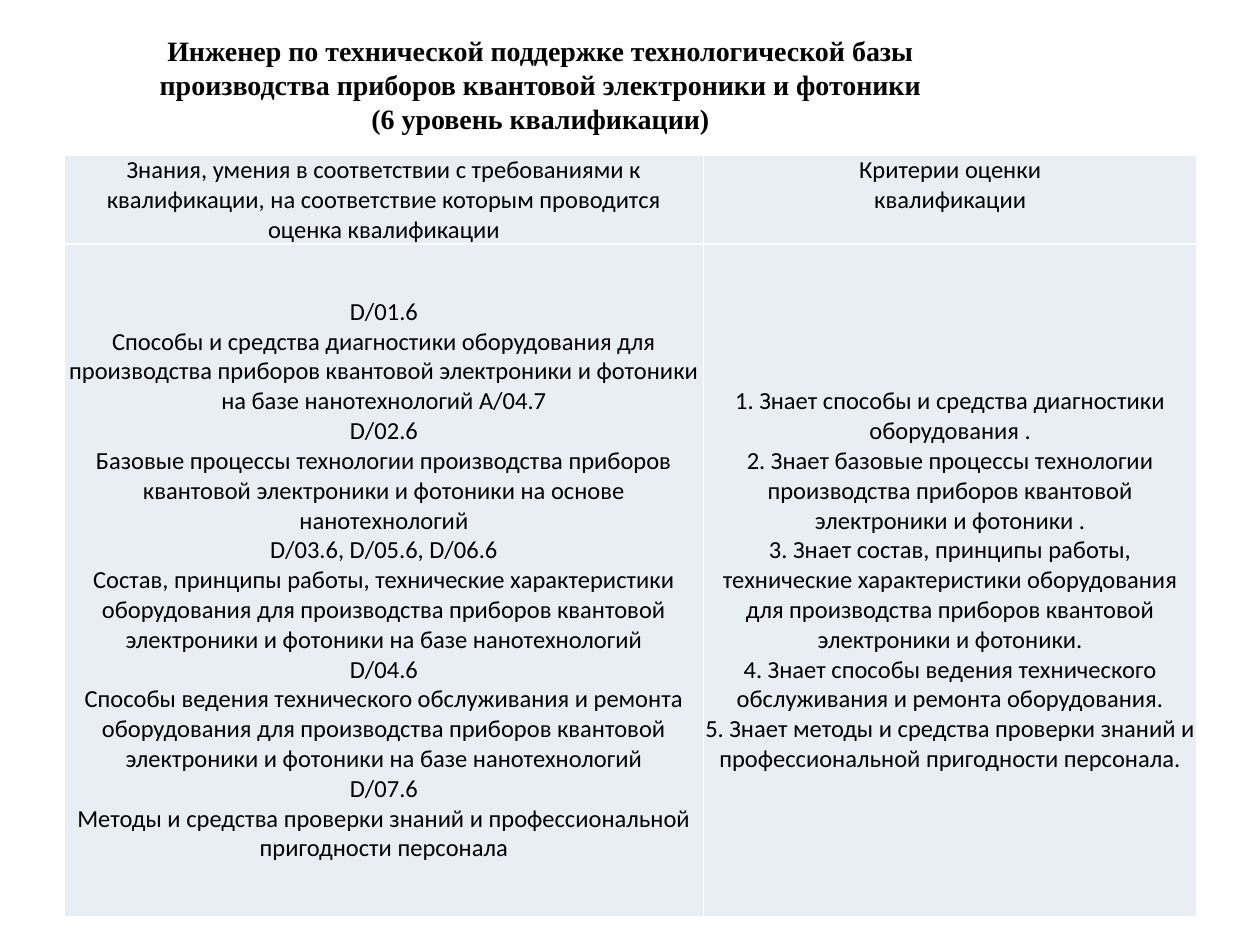
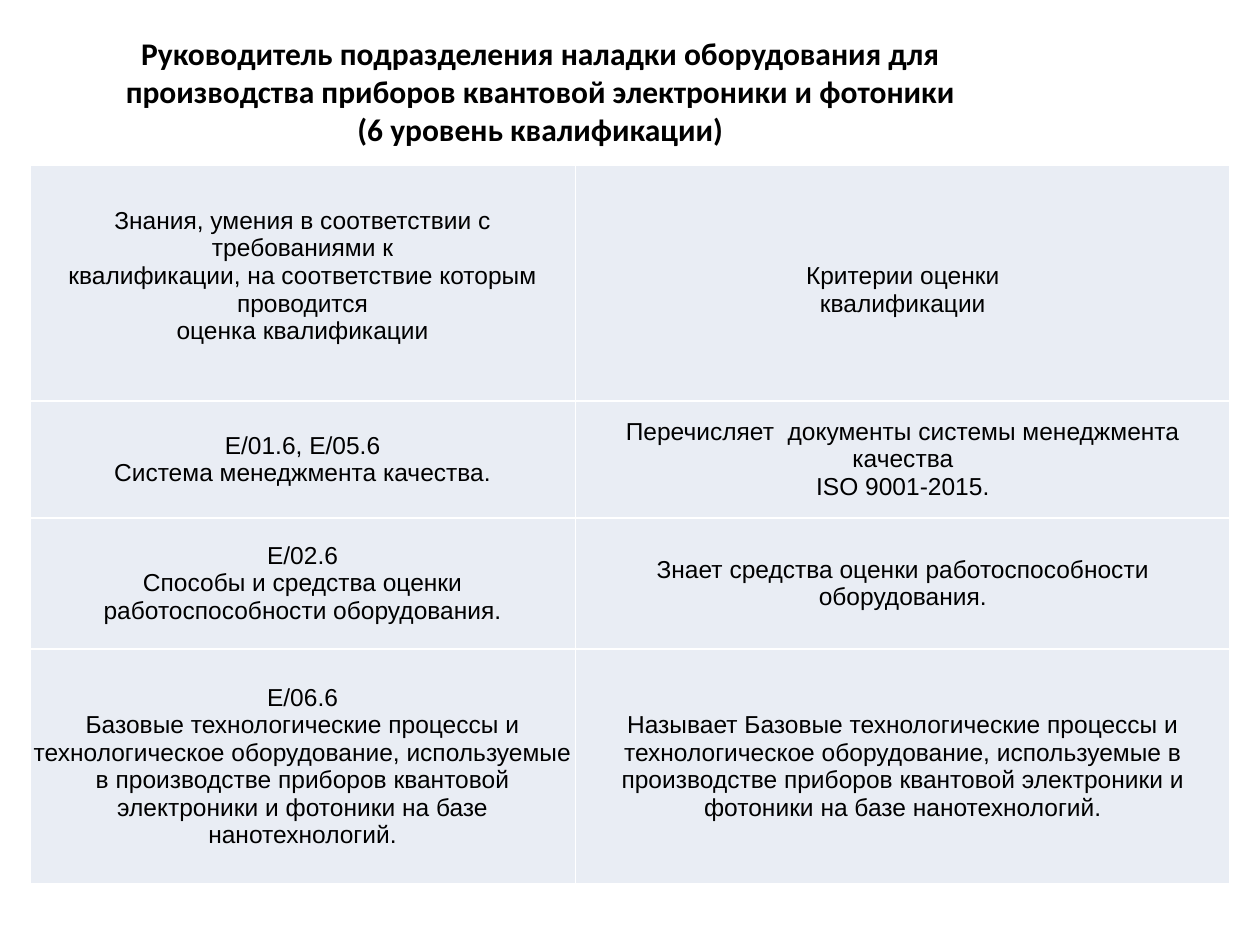
import pptx
import pptx.dml.color
import pptx.enum.text
import pptx.oxml
import pptx.oxml.ns
import pptx.util
from pptx.util import Cm

INK, PANEL, RULE = "000000", "E9EDF4", "FFFFFF"
TITLE_BOX = (1.7, 0.56, 18.39, 2.4)
ANCHOR = pptx.enum.text.MSO_ANCHOR
LEVEL = "(6 уровень квалификации)"
KNOWLEDGE = [
    "Знания, умения в соответствии с требованиями к",
    "квалификации, на соответствие которым проводится",
    "оценка квалификации",
]
CRITERIA = ["Критерии оценки", "квалификации"]

ENGINEER_ROWS = [
    [KNOWLEDGE, CRITERIA],
    [
        [
            "D/01.6",
            "Способы и средства диагностики оборудования для производства приборов квантовой электроники и фотоники на базе нанотехнологий А/04.7",
            "D/02.6",
            "Базовые процессы технологии производства приборов квантовой электроники и фотоники на основе нанотехнологий",
            "D/03.6, D/05.6, D/06.6",
            "Состав, принципы работы, технические характеристики оборудования для производства приборов квантовой электроники и фотоники на базе нанотехнологий",
            "D/04.6",
            "Способы ведения технического обслуживания и ремонта оборудования для производства приборов квантовой электроники и фотоники на базе нанотехнологий",
            "D/07.6",
            "Методы и средства проверки знаний и профессиональной пригодности персонала",
        ],
        [
            "1. Знает способы и средства диагностики оборудования .",
            "2. Знает базовые процессы технологии производства приборов квантовой электроники и фотоники .",
            "3. Знает состав, принципы работы, технические характеристики оборудования для производства приборов квантовой электроники и фотоники.",
            "4. Знает способы ведения технического обслуживания и ремонта оборудования.",
            "5. Знает методы и средства проверки знаний и профессиональной пригодности персонала.",
        ],
    ],
]

MANAGER_ROWS = [
    [KNOWLEDGE, CRITERIA],
    [
        ["Е/01.6, Е/05.6", "Система менеджмента качества."],
        ["Перечисляет  документы системы менеджмента качества", "ISO 9001-2015."],
    ],
    [
        ["Е/02.6", "Способы и средства оценки работоспособности оборудования."],
        ["Знает средства оценки работоспособности оборудования."],
    ],
    [
        [
            "Е/06.6",
            "Базовые технологические процессы и технологическое оборудование, используемые в производстве приборов квантовой электроники и фотоники на базе нанотехнологий.",
        ],
        [
            "Называет Базовые технологические процессы и технологическое оборудование, используемые в производстве приборов квантовой электроники и фотоники на базе нанотехнологий.",
        ],
    ],
]


def rgb(value):
    return pptx.dml.color.RGBColor.from_string(value)


def write(tf, lines, font, size, bold=False):
    tf.word_wrap = True
    for i, line in enumerate(lines):
        p = tf.add_paragraph() if i else tf.paragraphs[0]
        p.alignment = pptx.enum.text.PP_ALIGN.CENTER
        r = p.add_run()
        r.text = line
        r.font.name = font
        r.font.size = pptx.util.Pt(size)
        r.font.bold = bold
        r.font.color.rgb = rgb(INK)


def add_title(s, box, lines, font, size):
    sp = s.shapes.add_textbox(*map(Cm, box))
    write(sp.text_frame, lines, font, size, bold=True)


def set_borders(cell):
    tcPr = cell._tc.get_or_add_tcPr()
    for i, side in enumerate("LRTB"):
        tcPr.insert(i, pptx.oxml.parse_xml(
            f'<a:ln{side} {pptx.oxml.ns.nsdecls("a")} w="12700"><a:solidFill>'
            f'<a:srgbClr val="{RULE}"/></a:solidFill></a:ln{side}>'))


def add_criteria_table(s, left, top, widths, heights, rows, font, header_gaps):
    frame = s.shapes.add_table(len(rows), len(widths), Cm(left), Cm(top),
                               Cm(sum(widths)), Cm(sum(heights)))
    table = frame.table
    table.first_row = table.horz_banding = False
    for column, width in zip(table.columns, widths):
        column.width = Cm(width)
    for i, (height, row) in enumerate(zip(heights, rows)):
        table.rows[i].height = Cm(height)
        for j, lines in enumerate(row):
            cell = table.cell(i, j)
            cell.margin_left = cell.margin_right = cell.margin_top = 0
            cell.margin_bottom = 0 if i else Cm(header_gaps[j])
            cell.vertical_anchor = ANCHOR.MIDDLE if i else ANCHOR.BOTTOM
            cell.fill.solid()
            cell.fill.fore_color.rgb = rgb(PANEL)
            set_borders(cell)
            write(cell.text_frame, lines, font, 14)


def add_slide(prs, title, title_font, title_size, **table):
    s = prs.slides.add_slide(prs.slide_layouts[6])
    add_title(s, TITLE_BOX, [title, LEVEL], title_font, title_size)
    add_criteria_table(s, **table)


def main():
    prs = pptx.Presentation()
    prs.slide_width, prs.slide_height = Cm(25.4), Cm(19.05)
    add_slide(
        prs,
        "Инженер по технической поддержке технологической базы производства приборов квантовой электроники и фотоники",
        "Times New Roman", 16,
        left=1.3, top=3.13, widths=[12.88, 9.95], heights=[1.78, 13.56],
        rows=ENGINEER_ROWS, font="Calibri", header_gaps=[0, 0.6])
    add_slide(
        prs,
        "Руководитель подразделения наладки оборудования для производства приборов квантовой электроники и фотоники",
        "Calibri", 18,
        left=0.6, top=3.34, widths=[11, 13.2], heights=[4.74, 2.36, 2.64, 4.74],
        rows=MANAGER_ROWS, font="Arial", header_gaps=[1.13, 1.68])
    prs.save("out.pptx")


if __name__ == "__main__":
    main()
